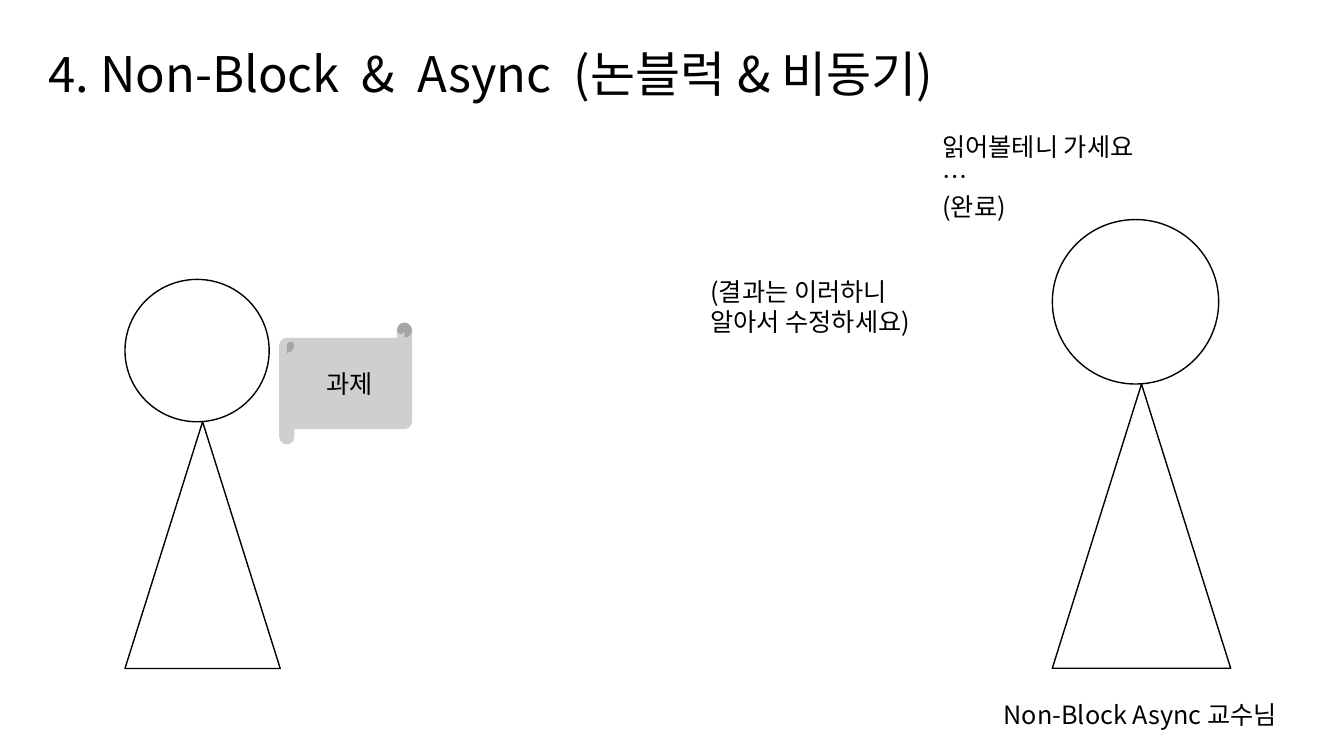
import pptx
import pptx.util
import pptx.dml.color
import pptx.enum.shapes
import pptx.enum.text
import pptx.oxml.ns
import lxml.etree

Pt = pptx.util.Pt
SHAPE = pptx.enum.shapes.MSO_SHAPE
ALIGN = pptx.enum.text.PP_ALIGN
ANCHOR = pptx.enum.text.MSO_ANCHOR
FIT = pptx.enum.text.MSO_AUTO_SIZE


class Scene:
    """Draws the people, papers and speech of one slide in a shared style."""

    colors = {"ink": "000000", "paper": "FFFFFF", "scroll": "D0CECE"}
    font = "Noto Sans CJK KR"

    def __init__(self, slide):
        self.s = slide

    def color(self, name):
        return pptx.dml.color.RGBColor.from_string(self.colors[name])

    def add_text(self, tf, text, size=18, color="ink", align=ALIGN.LEFT):
        for i, line in enumerate(text.split("\n")):
            p = tf.add_paragraph() if i else tf.paragraphs[0]
            p.alignment = align
            r = p.add_run()
            r.text = line
            r.font.size = Pt(size)
            r.font.name = self.font
            r.font.color.rgb = self.color(color)
            ea = lxml.etree.SubElement(r.font._element, pptx.oxml.ns.qn("a:ea"))
            ea.set("typeface", self.font)

    def label(self, text, x, y, w, h, **style):
        tf = self.s.shapes.add_textbox(Pt(x), Pt(y), Pt(w), Pt(h)).text_frame
        tf.word_wrap = True
        tf.auto_size = FIT.SHAPE_TO_FIT_TEXT
        self.add_text(tf, text, **style)

    def shape(self, kind, x, y, w, h, fill="paper", line="ink"):
        sp = self.s.shapes.add_shape(kind, Pt(x), Pt(y), Pt(w), Pt(h))
        sp.shadow.inherit = False
        sp.fill.solid()
        sp.fill.fore_color.rgb = self.color(fill)
        if line:
            sp.line.color.rgb = self.color(line)
            sp.line.width = Pt(1)
        else:
            sp.line.fill.background()
        return sp

    def person(self, x, y, head, body):
        self.shape(SHAPE.OVAL, x, y, *head)
        self.shape(SHAPE.ISOSCELES_TRIANGLE, x, y + head[1], *body)

    def scroll(self, text, x, y, w, h):
        sp = self.shape(SHAPE.HORIZONTAL_SCROLL, x, y, w, h, fill="scroll", line=None)
        sp.text_frame.vertical_anchor = ANCHOR.MIDDLE
        self.add_text(sp.text_frame, text, align=ALIGN.CENTER)


def main():
    prs = pptx.Presentation()
    prs.slide_width, prs.slide_height = Pt(960), Pt(540)
    scene = Scene(prs.slides.add_slide(prs.slide_layouts[6]))

    scene.person(751.7, 156.8, head=(118.8, 117.5), body=(127.4, 203))
    scene.person(89.3, 199.6, head=(103, 101.7), body=(110.9, 176.2))
    scene.label("Non-Block Async 교수님", 709.9, 496.1, 211, 29)
    scene.label("읽어볼테니 가세요\n…\n(완료)", 666, 90, 193, 72.7)
    scene.scroll("과제", 199.4, 230.4, 95, 87.1)
    scene.label("4. Non-Block  &  Async  (논블럭 & 비동기)",
                27.4, 27.4, 748, 49.7, size=35)
    scene.label("(결과는 이러하니\n알아서 수정하세요)", 500.4, 193.7, 165.6, 51)

    prs.save("out.pptx")


if __name__ == "__main__":
    main()
